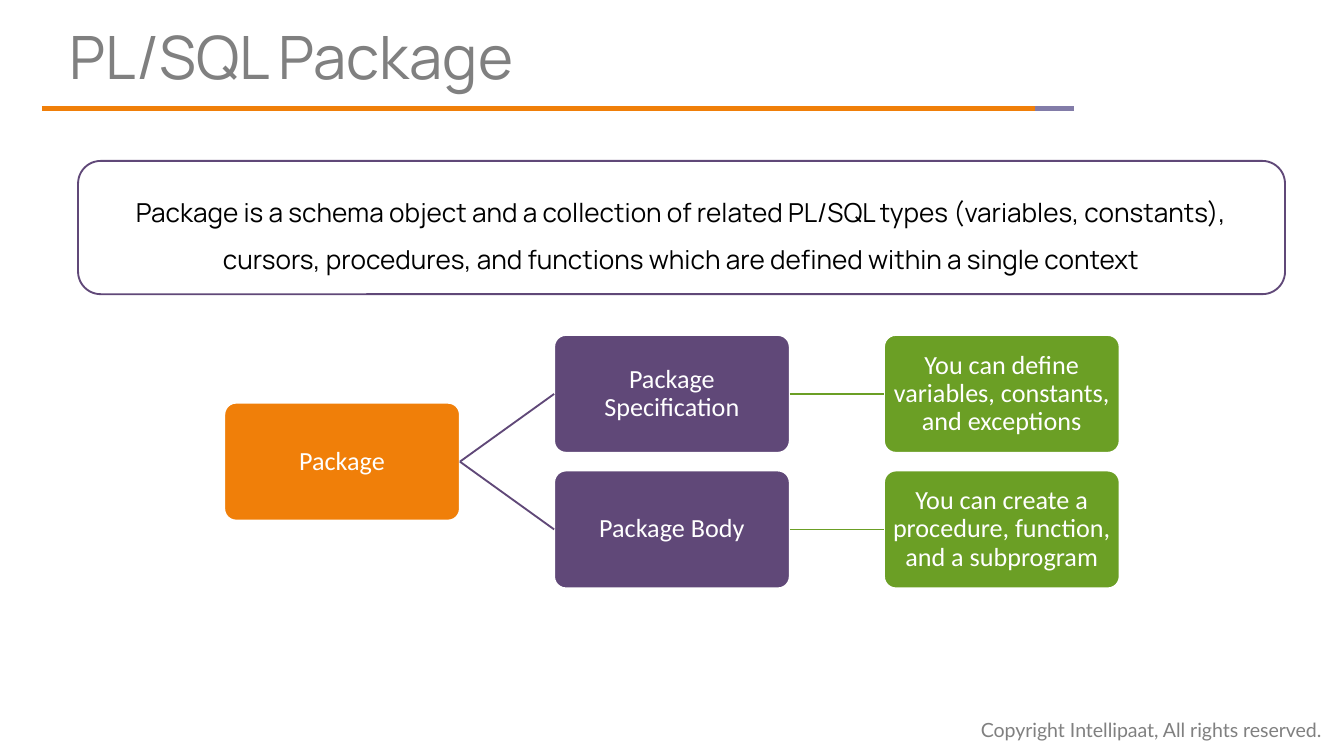
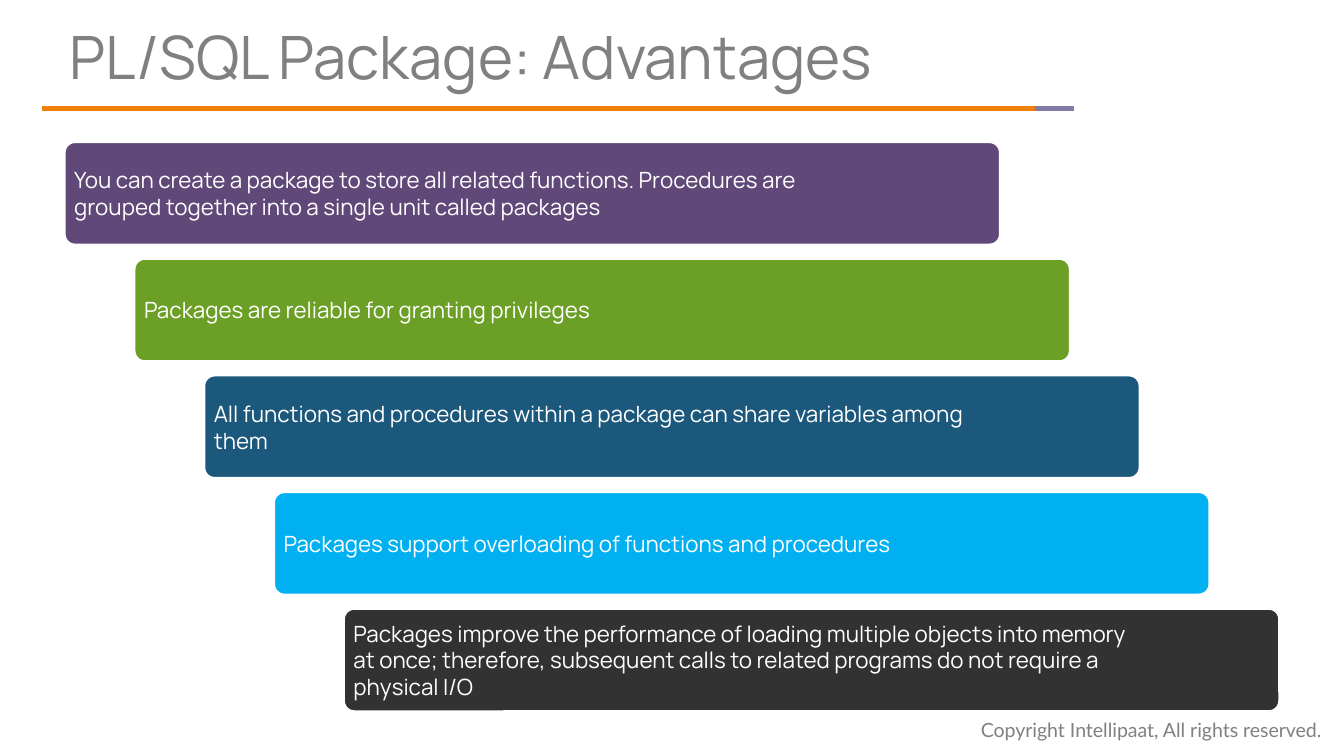
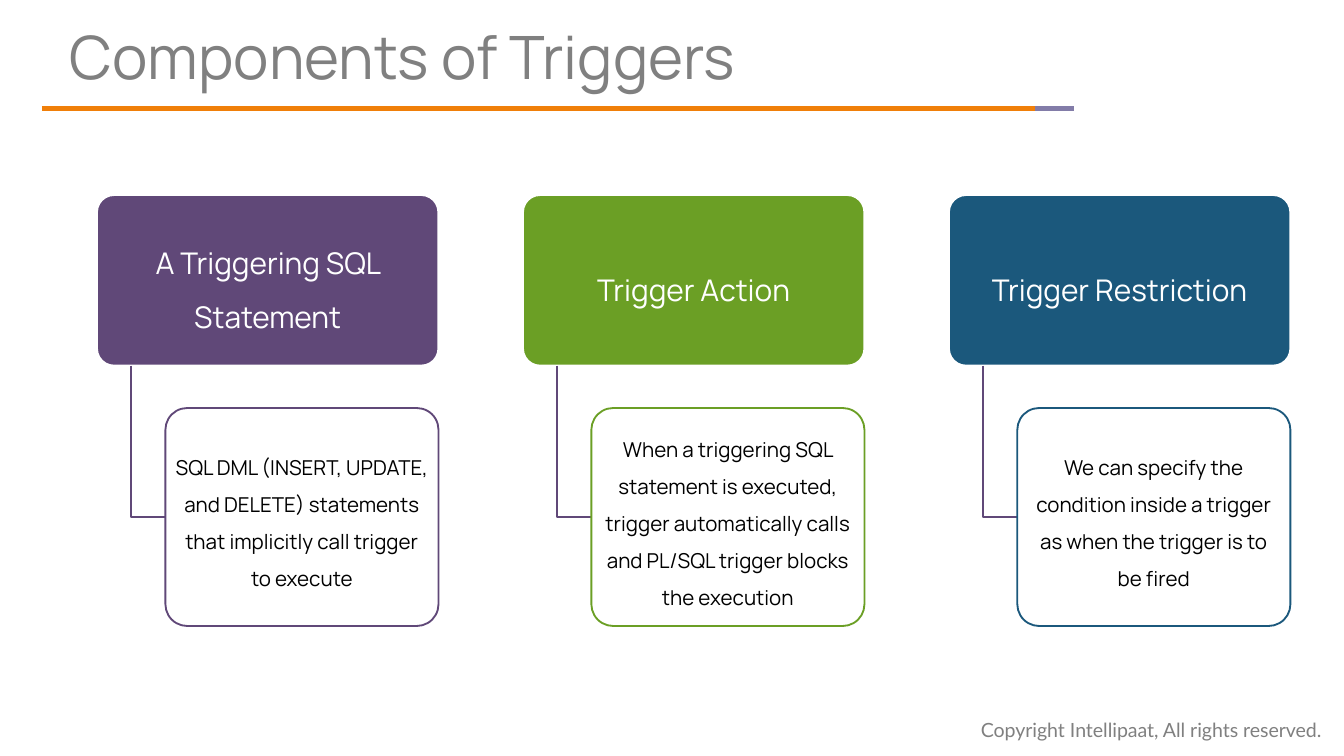
"""Build three slides on PL/SQL packages and triggers."""
from dataclasses import dataclass

from lxml import etree
from pptx import Presentation
from pptx.dml.color import RGBColor
from pptx.enum.shapes import MSO_CONNECTOR, MSO_SHAPE
from pptx.enum.text import MSO_ANCHOR, MSO_AUTO_SIZE, PP_ALIGN
from pptx.oxml.ns import qn
from pptx.presentation import Presentation as Deck
from pptx.shapes.autoshape import Shape
from pptx.shapes.connector import Connector
from pptx.slide import Slide
from pptx.util import Pt

STRAIGHT = MSO_CONNECTOR.STRAIGHT
ROUNDED = MSO_SHAPE.ROUNDED_RECTANGLE
TOP, MIDDLE = MSO_ANCHOR.TOP, MSO_ANCHOR.MIDDLE
LEFT, CENTER = PP_ALIGN.LEFT, PP_ALIGN.CENTER
FIT_SHAPE = MSO_AUTO_SIZE.SHAPE_TO_FIT_TEXT
LEFT_SIDE, RIGHT_SIDE = 1, 3

ORANGE, PURPLE, LILAC = "F07F09", "604878", "827CA8"
GREEN, BLUE, SKY, CHARCOAL = "6B9F25", "1B587C", "00B0F0", "323232"
WHITE, BLACK, GRAY = "FFFFFF", "000000", "808080"
MAIN_FONT, TREE_FONT, FOOTER_FONT = "Manrope", "Calibri", "Lato"


@dataclass(frozen=True)
class Area:
    """A rectangle on the slide, in points."""
    left: float
    top: float
    width: float
    height: float


@dataclass(frozen=True)
class Advantage:
    """One bar of the advantages staircase."""
    text: str
    fill: str
    right_inset: float = 77


@dataclass(frozen=True)
class Component:
    """A trigger component with its explanation."""
    name: str
    detail: str
    color: str


@dataclass(frozen=True)
class Branch:
    """A section of a package and what it is for."""
    name: str
    use: str


BRANCHES = (
    Branch("Package Specification", "You can define variables, constants, and exceptions"),
    Branch("Package Body", "You can create a procedure, function, and a subprogram"),
)
ADVANTAGES = (
    Advantage("You can create a package to store all related functions. Procedures are "
              "grouped together into a single unit called packages", PURPLE, 66),
    Advantage("Packages are reliable for granting privileges", GREEN),
    Advantage("All functions and procedures within a package can share variables among them",
              BLUE),
    Advantage("Packages support overloading of functions and procedures", SKY),
    Advantage("Packages improve the performance of loading multiple objects into memory at "
              "once; therefore, subsequent calls to related programs do not require a "
              "physical I/O", CHARCOAL),
)
COMPONENTS = (
    Component("A Triggering SQL Statement",
              "SQL DML (INSERT, UPDATE, and DELETE) statements that implicitly call "
              "trigger to execute", PURPLE),
    Component("Trigger Action",
              "When a triggering SQL statement is executed, trigger automatically calls "
              "and PL/SQL trigger blocks the execution", GREEN),
    Component("Trigger Restriction",
              "We can specify the condition inside a trigger as when the trigger is to be "
              "fired", BLUE),
)


def rgb(color: str) -> RGBColor:
    """Turn a hex string into a colour."""
    return RGBColor.from_string(color)


def write(box: Shape, text: str, *, size: float, color: str = WHITE, font: str = MAIN_FONT,
          align: PP_ALIGN = CENTER, anchor: MSO_ANCHOR = MIDDLE, spacing: float = 1.0,
          insets: tuple[float, float, float, float] = (7.2, 3.6, 7.2, 3.6),
          wrap: bool = True) -> None:
    """Write one formatted paragraph into a box."""
    frame = box.text_frame
    frame.word_wrap = wrap
    frame.vertical_anchor = anchor
    (frame.margin_left, frame.margin_top,
     frame.margin_right, frame.margin_bottom) = map(Pt, insets)
    para = frame.paragraphs[0]
    para.alignment = align
    para.line_spacing = spacing
    span = para.add_run()
    span.text = text
    span.font.name = font
    span.font.size = Pt(size)
    span.font.color.rgb = rgb(color)


def add_text_box(page: Slide, area: Area) -> Shape:
    """Add an empty text box."""
    return page.shapes.add_textbox(Pt(area.left), Pt(area.top), Pt(area.width), Pt(area.height))


def add_card(page: Slide, area: Area, fill: str, *, line: str = WHITE,
             corner: float = 0.1, opacity: int = 100) -> Shape:
    """Add a rounded rectangle."""
    card = page.shapes.add_shape(ROUNDED, Pt(area.left), Pt(area.top),
                                 Pt(area.width), Pt(area.height))
    card.adjustments[0] = corner
    card.shadow.inherit = False
    card.fill.solid()
    card.fill.fore_color.rgb = rgb(fill)
    if opacity < 100:
        paint = card._element.spPr.find(f"{qn('a:solidFill')}/{qn('a:srgbClr')}")
        etree.SubElement(paint, qn("a:alpha"), val=str(opacity * 1000))
    card.line.color.rgb = rgb(line)
    card.line.width = Pt(1)
    return card


def add_line(page: Slide, color: str, width: float, *, start: float = 0, end: float = 0,
             height: float = 0) -> Connector:
    """Add a straight horizontal line without a shadow."""
    line = page.shapes.add_connector(STRAIGHT, Pt(start), Pt(height), Pt(end), Pt(height))
    line.line.color.rgb = rgb(color)
    line.line.width = Pt(width)
    etree.SubElement(line._element.spPr, qn("a:effectLst"))
    return line


def join(page: Slide, source: Shape, target: Shape, color: str) -> None:
    """Join the right side of one card to the left side of another."""
    link = add_line(page, color, 1)
    link.begin_connect(source, RIGHT_SIDE)
    link.end_connect(target, LEFT_SIDE)


def add_page(deck: Deck, title: str) -> Slide:
    """Add a slide with the shared title, rule and footer."""
    page = deck.slides.add_slide(deck.slide_layouts[6])
    footer = add_text_box(page, Area(518.4, 380.9, 203.8, 20.2))
    write(footer, "Copyright Intellipaat, All rights reserved.", size=10.5, color=GRAY,
          font=FOOTER_FONT, align=LEFT, anchor=TOP, wrap=False)
    footer.text_frame.auto_size = FIT_SHAPE
    add_line(page, ORANGE, 3, start=22.5, end=554.5, height=58.2)
    add_line(page, LILAC, 3, start=554.5, end=575.3, height=58.2)
    write(add_text_box(page, Area(37.4, 11.5, 573, 45.4)), title, size=32, color=GRAY,
          align=LEFT, anchor=TOP, spacing=0.9, insets=(0, 3.6, 7.2, 3.6))
    return page


def add_tree_card(page: Slide, column: int, row: float, text: str, fill: str) -> Shape:
    """Add a card at a column and row of the package tree."""
    card = add_card(page, Area(120.2 + 176.7 * column, 179.5 + 72.6 * row, 126.2, 63.1), fill)
    write(card, text, size=14, font=TREE_FONT, spacing=0.9, insets=(0.7, 0.7, 0.7, 0.7))
    return card


def build_package(deck: Deck) -> None:
    """Build the slide that defines a package."""
    page = add_page(deck, "PL/SQL Package")
    definition = add_card(page, Area(41.8, 86.2, 646.6, 71.4), WHITE, line=PURPLE,
                          corner=0.17)
    write(definition, "Package is a schema object and a collection of related PL/SQL types "
          "(variables, constants), cursors, procedures, and functions which are defined "
          "within a single context", size=14, color=BLACK, spacing=1.5,
          insets=(7.2, 7.2, 7.2, 7.2))
    root = add_tree_card(page, 0, (len(BRANCHES) - 1) / 2, "Package", ORANGE)
    for row, branch in enumerate(BRANCHES):
        section = add_tree_card(page, 1, row, branch.name, PURPLE)
        use = add_tree_card(page, 2, row, branch.use, GREEN)
        join(page, root, section, PURPLE)
        join(page, section, use, GREEN)


def build_advantages(deck: Deck) -> None:
    """Build the staircase of package advantages."""
    page = add_page(deck, "PL/SQL Package: Advantages")
    for step, advantage in enumerate(ADVANTAGES):
        bar = add_card(page, Area(34.7 + 37.4 * step, 76.2 + 62.5 * step, 501, 54.8),
                       advantage.fill)
        write(bar, advantage.text, size=12, align=LEFT,
              insets=(3.5, 3.5, advantage.right_inset, 3.5))


def build_components(deck: Deck) -> None:
    """Build the slide of trigger components."""
    page = add_page(deck, "Components of Triggers")
    for column, component in enumerate(COMPONENTS):
        left = 52 + 228.2 * column
        head = add_card(page, Area(left, 104.5, 182.9, 91.4), component.color)
        write(head, component.name, size=16, spacing=1.5, insets=(2.2, 1.4, 2.2, 1.4))
        elbow = page.shapes.build_freeform(Pt(left + 18.3), Pt(195.9))
        elbow.add_line_segments([(Pt(left + 18.3), Pt(277)), (Pt(left + 36.6), Pt(277))],
                                close=False)
        link = elbow.convert_to_shape()
        link.shadow.inherit = False
        link.fill.background()
        link.line.color.rgb = rgb(PURPLE)
        link.line.width = Pt(1)
        detail = add_card(page, Area(left + 36.6, 218.6, 146.3, 116.8), WHITE,
                          line=component.color, opacity=90)
        write(detail, component.detail, size=11, color=BLACK, spacing=1.5,
              insets=(1.5, 1.5, 1.5, 1.5))


def main() -> None:
    """Build and save the deck."""
    deck = Presentation()
    deck.slide_width, deck.slide_height = Pt(720), Pt(405)
    build_package(deck)
    build_advantages(deck)
    build_components(deck)
    deck.save("out.pptx")


if __name__ == "__main__":
    main()
